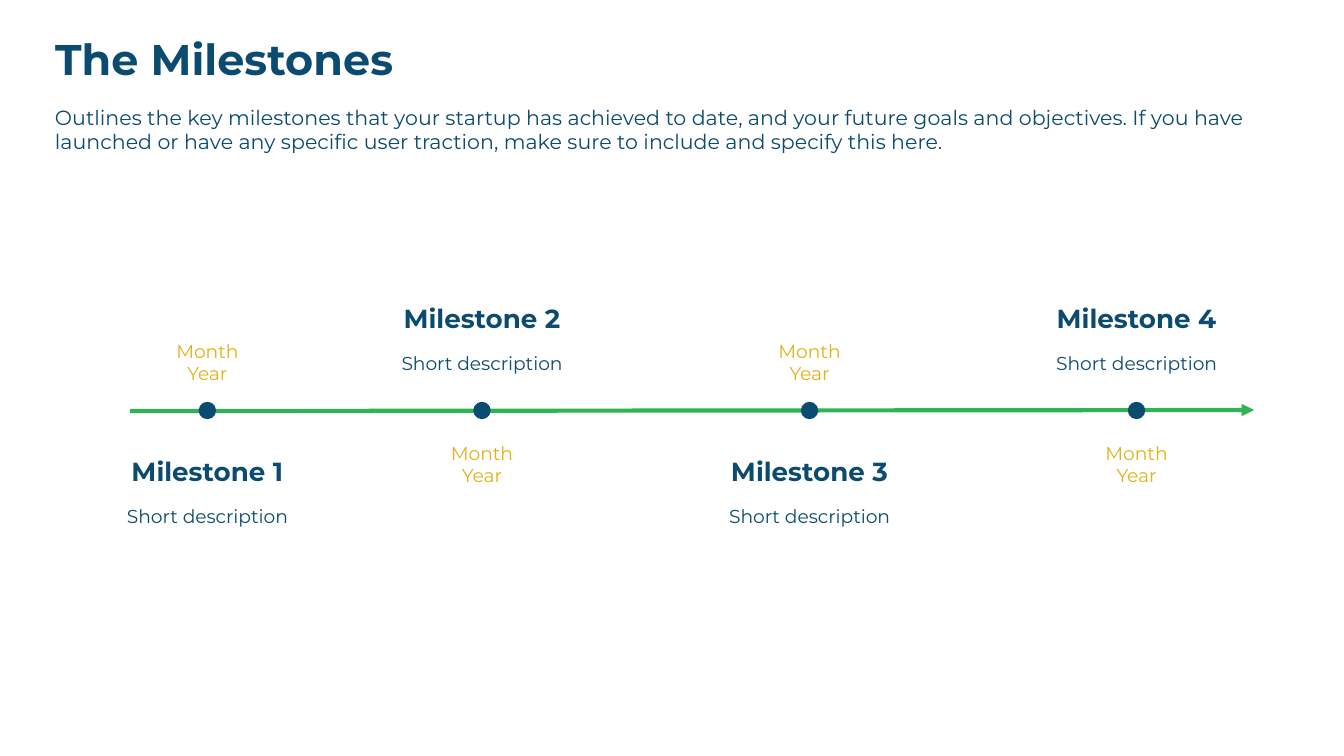
from dataclasses import dataclass

from lxml.etree import SubElement
from pptx import Presentation
from pptx.dml.color import RGBColor
from pptx.enum.shapes import MSO_CONNECTOR as Connector, MSO_SHAPE as Shape
from pptx.enum.text import MSO_ANCHOR as Anchor, MSO_AUTO_SIZE as AutoSize, PP_ALIGN as Align
from pptx.oxml.ns import qn
from pptx.util import Cm, Pt


@dataclass(frozen=True)
class Theme:
    """Colours, font and sizes of the deck."""
    font: str = "Montserrat"
    navy: RGBColor = RGBColor(0x0B, 0x4B, 0x6F)
    gold: RGBColor = RGBColor(0xE3, 0xB1, 0x19)
    green: RGBColor = RGBColor(0x2E, 0xB4, 0x54)
    title: float = 23
    intro: float = 11
    milestone: float = 14
    detail: float = 10
    axis: float = 2.25


@dataclass(frozen=True)
class Box:
    """A region in centimetres."""
    left: float
    top: float
    width: float
    height: float

    def emu(self):
        """Return the region as slide lengths."""
        return Cm(self.left), Cm(self.top), Cm(self.width), Cm(self.height)


THEME = Theme()
INSET = Cm(0.25)
DOT = 0.33
MILESTONES = [
    (1.46, "Milestone 1", "Short description", "Month Year"),
    (6.65, "Milestone 2", "Short description", "Month Year"),
    (12.84, "Milestone 3", "Short description", "Month Year"),
    (19.02, "Milestone 4", "Short description", "Month Year"),
]


def write(holder, wording, size, color, bold=False, align=Align.LEFT):
    """Put one formatted run into a text holder."""
    frame = holder.text_frame
    frame.word_wrap = True
    frame.auto_size = AutoSize.NONE
    frame.vertical_anchor = Anchor.TOP
    frame.margin_left = frame.margin_right = INSET
    frame.margin_top = frame.margin_bottom = INSET
    paragraph = frame.paragraphs[0]
    paragraph.alignment = align
    run = paragraph.add_run()
    run.text = wording
    run.font.name = THEME.font
    run.font.size = Pt(size)
    run.font.bold = bold
    run.font.color.rgb = color


def add_label(slide, center, top, width, height, *style, bold=False):
    """Add a text box centred on a horizontal position."""
    box = Box(center - width / 2, top, width, height)
    label = slide.shapes.add_textbox(*box.emu())
    write(label, *style, bold=bold, align=Align.CENTER)


def add_heading(slide, box):
    """Place the title and the introduction below it."""
    title = slide.shapes.title
    title.left, title.top, title.width, title.height = Box(
        box.left, box.top, box.width - 0.76, 1.5).emu()
    write(title, "The Milestones", THEME.title, THEME.navy, bold=True)
    intro = slide.shapes.add_textbox(
        *Box(box.left, box.top + 1.37, box.width, box.height - 1.37).emu())
    write(intro, "Outlines the key milestones that your startup has achieved to date, "
          "and your future goals and objectives. If you have launched or have any "
          "specific user traction, make sure to include and specify this here.",
          THEME.intro, THEME.navy)


def add_axis(slide, left, right, level):
    """Draw the green time arrow."""
    axis = slide.shapes.add_connector(
        Connector.STRAIGHT, Cm(left), Cm(level + 0.01), Cm(right), Cm(level - 0.01))
    axis.line.color.rgb = THEME.green
    axis.line.width = Pt(THEME.axis)
    properties = axis.element.spPr
    SubElement(properties.find(qn("a:ln")), qn("a:tailEnd"), type="triangle")
    SubElement(properties, qn("a:effectLst"))


def add_milestone(slide, center, level, above, name, description, date):
    """Place a dot with its texts on one side and its date on the other."""
    dot = slide.shapes.add_shape(
        Shape.OVAL, *Box(center - DOT / 2, level - DOT / 2, DOT, DOT).emu())
    dot.shadow.inherit = False
    dot.fill.solid()
    dot.fill.fore_color.rgb = THEME.navy
    dot.line.fill.background()
    name_top = level + (-2.3 if above else 0.6)
    date_top = level + (0.34 if above else -1.59)
    add_label(slide, center, name_top, 6.32, 1.12,
              name, THEME.milestone, THEME.navy, bold=True)
    add_label(slide, center, name_top + 0.94, 6.02, 0.94,
              description, THEME.detail, THEME.navy)
    add_label(slide, center, date_top, 2.11, 1.37, date, THEME.detail, THEME.gold)


def add_timeline(slide, box):
    """Place the arrow and its milestones, alternating below and above."""
    level = box.top + 2.3
    add_axis(slide, box.left, box.left + box.width, level)
    for index, (offset, *texts) in enumerate(MILESTONES):
        add_milestone(slide, box.left + offset, level, index % 2 == 1, *texts)


def main():
    """Build and save the milestones slide."""
    deck = Presentation()
    deck.slide_width, deck.slide_height = Cm(25.4), Cm(14.29)
    slide = deck.slides.add_slide(deck.slide_layouts[5])
    add_heading(slide, Box(0.79, 0.36, 23.8, 2.82))
    add_timeline(slide, Box(2.46, 5.46, 21.24, 4.78))
    deck.save("out.pptx")


if __name__ == "__main__":
    main()
